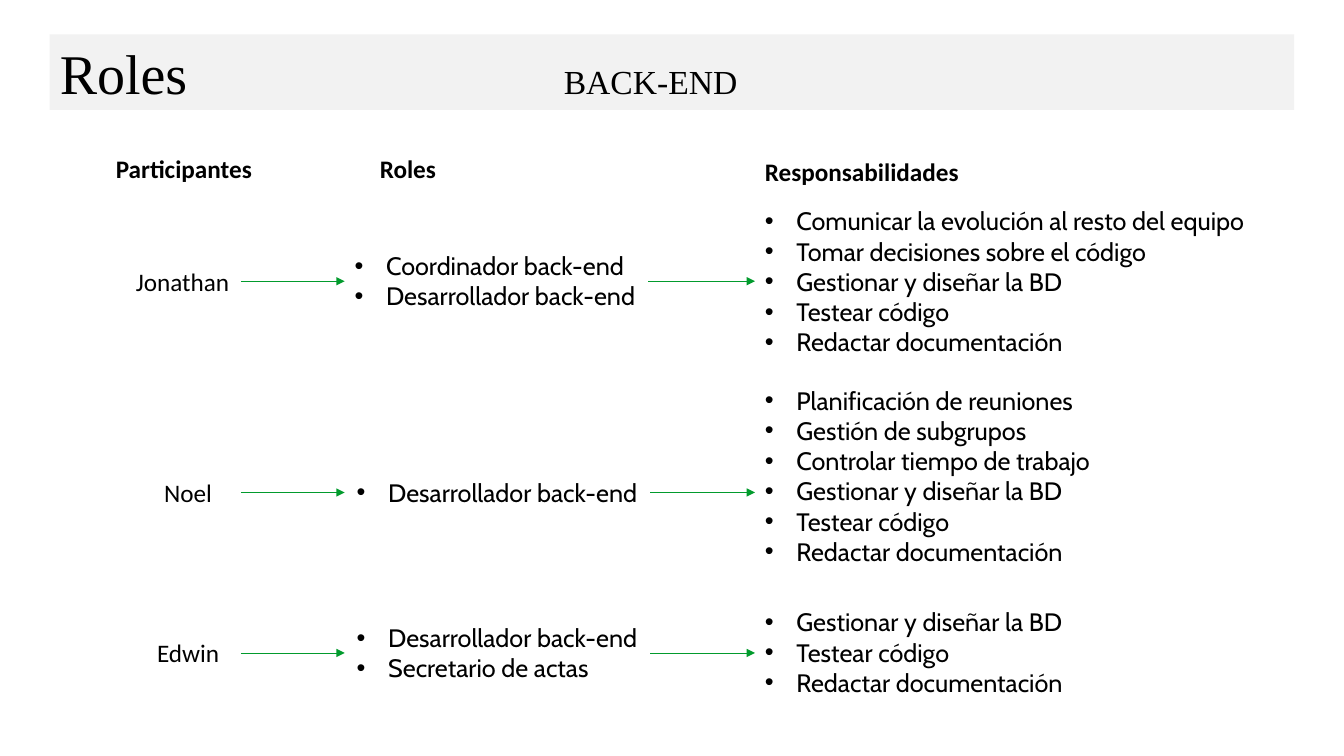
from lxml import etree
from pptx import Presentation
from pptx.dml.color import RGBColor
from pptx.enum import shapes, text
from pptx.oxml import ns
from pptx.util import Pt

COLORS = {"ink": "000000", "band": "F2F2F2", "arrow": "029B2D"}
LINE_HEIGHT = 21.9
INSET = 3.6
BULLET_INDENT = 22.5

NAME_END = 172.1
ROLE_WIDTH = 216.7
DUTIES_LEFT = 539.3

# Column headings: text, left, top, width
HEADINGS = [
    ("Participantes", 75.6, 105.8, 118),
    ("Roles", 264.2, 105.8, 57),
    ("Responsabilidades", DUTIES_LEFT, 108, 206.6),
]

COMMON_DUTIES = ["Gestionar y diseñar la BD", "Testear código",
                 "Redactar documentación"]

# Each participant: name, name left, row middle, roles left, roles,
# duties top, duties
PARTICIPANTS = [
    ("Jonathan", 90, 200.9, 246.2,
     ["Coordinador back-end", "Desarrollador back-end"],
     143.3, ["Comunicar la evolución al resto del equipo",
             "Tomar decisiones sobre el código"] + COMMON_DUTIES),
    ("Noel", 110.2, 351.8, 247.7,
     ["Desarrollador back-end"],
     271.4, ["Planificación de reuniones", "Gestión de subgrupos",
             "Controlar tiempo de trabajo"] + COMMON_DUTIES),
    ("Edwin", 105.1, 466.4, 247.7,
     ["Desarrollador back-end", "Secretario de actas"],
     429.8, COMMON_DUTIES),
]


def color(name):
    return RGBColor.from_string(COLORS[name])


def box_height(lines):
    return len(lines) * LINE_HEIGHT + 2 * INSET


def format_font(font, face, size, bold=False):
    font.name = face
    font.size = Pt(size)
    font.bold = bold
    font.color.rgb = color("ink")


def add_bullet(paragraph):
    props = paragraph._p.get_or_add_pPr()
    props.set("marL", str(Pt(BULLET_INDENT)))
    props.set("indent", str(-Pt(BULLET_INDENT)))
    etree.SubElement(props, ns.qn("a:buFont"), typeface="Arial")
    etree.SubElement(props, ns.qn("a:buChar"), char="•")


def add_text(slide, lines, left, top, width, face="Calibri", bold=False,
             bullets=False, wrap=True):
    box = slide.shapes.add_textbox(Pt(left), Pt(top), Pt(width),
                                   Pt(box_height(lines)))
    frame = box.text_frame
    frame.word_wrap = wrap
    for number, line in enumerate(lines):
        paragraph = frame.add_paragraph() if number else frame.paragraphs[0]
        if bullets:
            add_bullet(paragraph)
        run = paragraph.add_run()
        run.text = line
        format_font(run.font, face, 18, bold)


def add_arrow(slide, start, end, y):
    arrow = slide.shapes.add_connector(shapes.MSO_CONNECTOR.STRAIGHT,
                                       Pt(start), Pt(y), Pt(end), Pt(y))
    arrow.line.color.rgb = color("arrow")
    arrow.line.width = Pt(0.5)
    etree.SubElement(arrow.line._get_or_add_ln(), ns.qn("a:tailEnd"),
                     type="triangle")
    etree.SubElement(arrow._element.spPr, ns.qn("a:effectLst"))


def format_title(title):
    title.left, title.top = Pt(35.5), Pt(24.5)
    title.width, title.height = Pt(889), Pt(54)
    title.fill.solid()
    title.fill.fore_color.rgb = color("band")
    frame = title.text_frame
    frame.auto_size = text.MSO_AUTO_SIZE.NONE
    frame.vertical_anchor = text.MSO_ANCHOR.MIDDLE
    paragraph = frame.paragraphs[0]
    paragraph.alignment = text.PP_ALIGN.LEFT
    # One tab stop places the team name
    tabs = etree.SubElement(paragraph._p.get_or_add_pPr(), ns.qn("a:tabLst"))
    etree.SubElement(tabs, ns.qn("a:tab"), pos=str(Pt(360)), algn="l")
    for words, size in [("Roles\t", 40), ("BACK-END", 24)]:
        run = paragraph.add_run()
        run.text = words
        format_font(run.font, "Times New Roman", size)


def main():
    deck = Presentation()
    deck.slide_width, deck.slide_height = Pt(960), Pt(540)
    slide = deck.slides.add_slide(deck.slide_layouts[5])
    format_title(slide.shapes.title)

    # Column headings
    for heading, left, top, width in HEADINGS:
        add_text(slide, [heading], left, top, width, bold=True)

    # One row per participant: name, roles, responsibilities
    for (name, name_left, middle, roles_left, roles,
         duties_top, duties) in PARTICIPANTS:
        add_text(slide, [name], name_left, middle - box_height([name]) / 2,
                 NAME_END - name_left, wrap=False)
        add_text(slide, roles, roles_left, middle - box_height(roles) / 2,
                 ROLE_WIDTH, face="Cabin", bullets=True)
        add_text(slide, duties, DUTIES_LEFT, duties_top, 385,
                 face="Cabin", bullets=True)
        add_arrow(slide, NAME_END, 246.2, middle)
        add_arrow(slide, roles_left + ROLE_WIDTH, DUTIES_LEFT, middle)

    deck.save("out.pptx")


if __name__ == "__main__":
    main()
